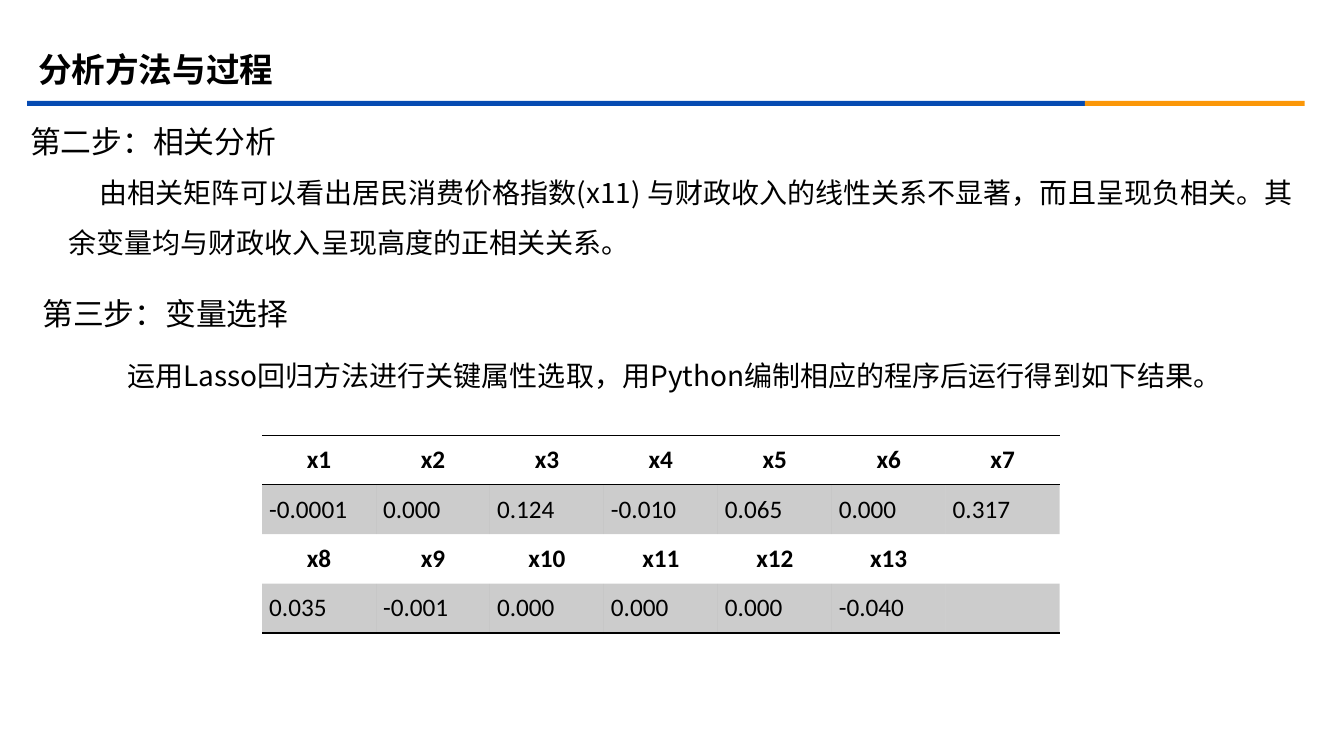
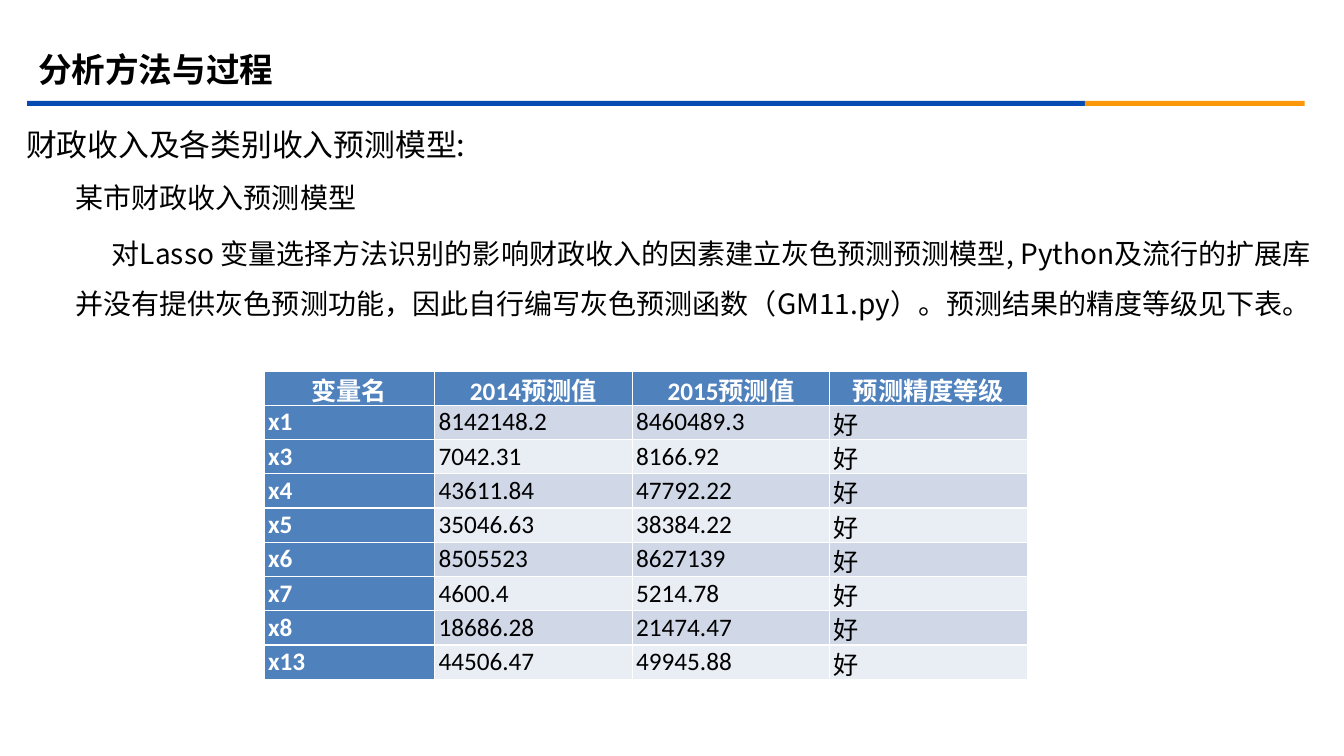
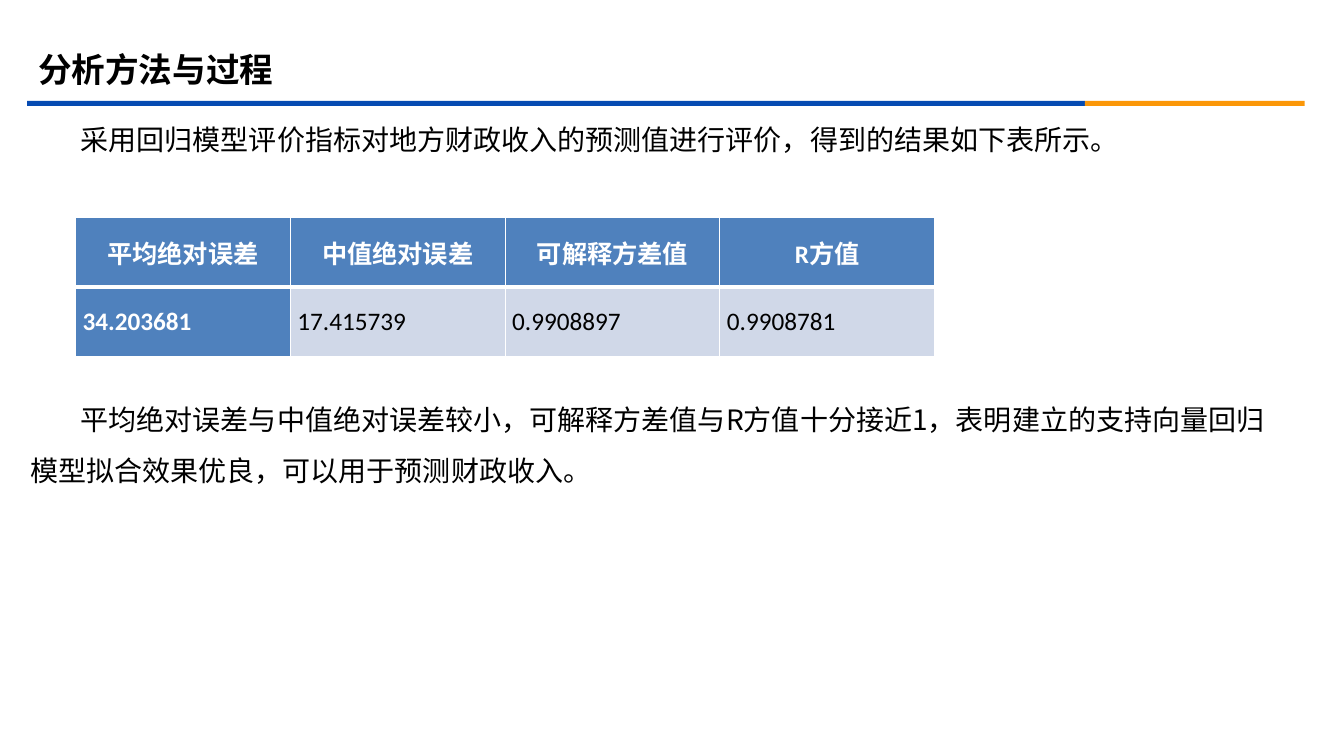
from lxml import etree
from pptx import Presentation
from pptx import util as u
from pptx.dml.color import RGBColor
from pptx.enum import shapes, text
from pptx.oxml.ns import qn

COLORS = {
    "black": "000000",
    "white": "FFFFFF",
    "blue": "064BB2",
    "orange": "FB9708",
    "header": "4F81BD",
    "band_dark": "D0D8E8",
    "band_light": "E9EDF4",
}
BODY_FONT = "Noto Sans CJK SC"
TITLE_FONT = "Arial"
TABLE_FONT = "Calibri"
PLAIN_TABLE = "{2D5ABB26-0587-4C30-8999-92F81FD0307C}"


def write(paragraph, content, *, size, font, color="black", bold=False, align=None,
          indent=0, leading=None, before=0):
    run = paragraph.add_run()
    run.text = content
    run.font.size = u.Pt(size)
    run.font.name = font
    run.font.bold = bold
    run.font.color.rgb = RGBColor.from_string(COLORS[color])
    if font == BODY_FONT:
        etree.SubElement(run.font._element, qn("a:ea"), typeface=font)
    if align is not None:
        paragraph.alignment = align
    if indent:
        paragraph._p.get_or_add_pPr().set("indent", str(u.Inches(indent)))
    if leading:
        paragraph.line_spacing = u.Pt(leading)
    if before:
        paragraph.space_before = u.Pt(before)


class Deck:
    title = "分析方法与过程"
    heading_size = 22
    body_size = 20
    table_size = 18
    leading = 1.8
    text_width = 12.29

    def __init__(self):
        self.presentation = Presentation()
        self.presentation.slide_width = u.Inches(13.33)
        self.presentation.slide_height = u.Inches(7.5)
        self.slide = None

    def new_slide(self):
        self.slide = self.presentation.slides.add_slide(self.presentation.slide_layouts[6])
        self.band(0.27, 10.49, "blue")
        self.band(10.76, 2.18, "orange")
        frame = self.text_frame(0.28, 0.39, 12, 0.58)
        frame.vertical_anchor = text.MSO_ANCHOR.MIDDLE
        write(frame.paragraphs[0], self.title, size=24, font=TITLE_FONT, bold=True)

    def band(self, left, width, color):
        shape = self.slide.shapes.add_shape(
            shapes.MSO_SHAPE.RECTANGLE,
            u.Inches(left), u.Inches(1), u.Inches(width), u.Inches(0.05))
        shape.shadow.inherit = False
        shape.fill.solid()
        shape.fill.fore_color.rgb = RGBColor.from_string(COLORS[color])
        shape.line.fill.background()

    def text_frame(self, left, top, width, height):
        box = self.slide.shapes.add_textbox(
            u.Inches(left), u.Inches(top), u.Inches(width), u.Inches(height))
        box.text_frame.word_wrap = True
        return box.text_frame

    def text_block(self, left, top, height, lines, size):
        frame = self.text_frame(left, top, self.text_width, height)
        frame.margin_left = frame.margin_right = frame.margin_bottom = 0
        frame.margin_top = u.Inches(0.02)
        for index, (content, indent) in enumerate(lines):
            paragraph = frame.add_paragraph() if index else frame.paragraphs[0]
            write(paragraph, content, size=size, font=BODY_FONT, indent=indent,
                  leading=size * self.leading, before=size * 0.2 if index else 0)

    def heading(self, left, top, content):
        self.text_block(left, top, 0.56, [(content, 0)], self.heading_size)

    def body(self, left, top, height, *lines):
        self.text_block(left, top, height, lines, self.body_size)

    def table(self, left, top, widths, row_height, rows, margin):
        table = self.slide.shapes.add_table(
            len(rows), len(widths), u.Inches(left), u.Inches(top),
            u.Inches(sum(widths)), u.Inches(row_height * len(rows))).table
        table.first_row = table.horz_banding = False
        table._tbl.tblPr.find(qn("a:tableStyleId")).text = PLAIN_TABLE
        for column, width in zip(table.columns, widths):
            column.width = u.Inches(width)
        for row in table.rows:
            row.height = u.Inches(row_height)
        for cell in table.iter_cells():
            cell.vertical_anchor = text.MSO_ANCHOR.MIDDLE
            cell.margin_left = cell.margin_right = u.Inches(margin)
            cell.margin_top = cell.margin_bottom = 0
        return table

    def cell(self, cell, content, *, header, color="black", bold=False):
        align = text.PP_ALIGN.CENTER if header else text.PP_ALIGN.JUSTIFY
        write(cell.text_frame.paragraphs[0], content, size=self.table_size,
              font=TABLE_FONT, color=color, bold=bold, align=align)

    def border(self, cell, color, **widths):
        properties = cell._tc.get_or_add_tcPr()
        for side in "LRTB":
            if side in widths:
                line = etree.SubElement(properties, qn("a:ln" + side),
                                        w=str(u.Pt(widths[side])))
                fill = etree.SubElement(line, qn("a:solidFill"))
                etree.SubElement(fill, qn("a:srgbClr"), val=COLORS[color])

    def fill(self, cell, color, alpha=None):
        cell.fill.solid()
        cell.fill.fore_color.rgb = RGBColor.from_string(COLORS[color])
        if alpha:
            value = cell._tc.tcPr.find(".//" + qn("a:solidFill") + "/" + qn("a:srgbClr")) \
                if cell._tc.tcPr.find(qn("a:lnB")) is None \
                else cell._tc.tcPr.find(qn("a:solidFill"))[0]
            etree.SubElement(value, qn("a:alpha"), val=str(alpha * 1000))

    def ruled_table(self, left, top, widths, row_height, rows):
        table = self.table(left, top, widths, row_height, rows, 0.07)
        last = len(rows) - 1
        for r, row in enumerate(rows):
            header = r % 2 == 0
            for c, content in enumerate(row):
                cell = table.cell(r, c)
                if content:
                    self.cell(cell, content, header=header, bold=header)
                if r == 0:
                    self.border(cell, "black", T=1, B=1)
                elif r == last:
                    self.border(cell, "black", B=1)
                if header:
                    cell.fill.background()
                else:
                    self.fill(cell, "black", alpha=20)

    def banded_table(self, left, top, widths, row_height, rows, margin, header_line):
        table = self.table(left, top, widths, row_height, rows, margin)
        for r, row in enumerate(rows):
            band = "band_dark" if r % 2 else "band_light"
            for c, content in enumerate(row):
                cell = table.cell(r, c)
                strong = r == 0 or c == 0
                self.cell(cell, content, header=r == 0, bold=strong,
                          color="white" if strong else "black")
                self.border(cell, "white", L=1, R=1,
                            T=header_line if r == 1 else 1,
                            B=header_line if r == 0 else 1)
                self.fill(cell, "header" if strong else band)


def variable_selection(deck):
    deck.new_slide()
    deck.heading(0.3, 1.01, "第二步：相关分析")
    deck.body(0.68, 1.55, 1.01, (
        "由相关矩阵可以看出居民消费价格指数(x11) 与财政收入的线性关系不显著，"
        "而且呈现负相关。其余变量均与财政收入呈现高度的正相关关系。", 0.31))
    deck.heading(0.42, 2.72, "第三步：变量选择")
    deck.body(0.83, 3.37, 0.51, (
        "运用Lasso回归方法进行关键属性选取，用Python编制相应的程序后运行得到如下结果。", 0.43))
    deck.ruled_table(2.6, 4.32, [1.13] * 7, 0.49, [
        ["x1", "x2", "x3", "x4", "x5", "x6", "x7"],
        ["-0.0001", "0.000", "0.124", "-0.010", "0.065", "0.000", "0.317"],
        ["x8", "x9", "x10", "x11", "x12", "x13", ""],
        ["0.035", "-0.001", "0.000", "0.000", "0.000", "-0.040", ""],
    ])


def revenue_forecast(deck):
    forecasts = [
        ("x1", "8142148.2", "8460489.3"),
        ("x3", "7042.31", "8166.92"),
        ("x4", "43611.84", "47792.22"),
        ("x5", "35046.63", "38384.22"),
        ("x6", "8505523", "8627139"),
        ("x7", "4600.4", "5214.78"),
        ("x8", "18686.28", "21474.47"),
        ("x13", "44506.47", "49945.88"),
    ]
    deck.new_slide()
    deck.heading(0.26, 1.04, "财政收入及各类别收入预测模型:")
    deck.body(0.75, 1.6, 2.09, ("某市财政收入预测模型", 0), (
        "对Lasso 变量选择方法识别的影响财政收入的因素建立灰色预测预测模型, "
        "Python及流行的扩展库并没有提供灰色预测功能，因此自行编写灰色预测函数"
        "（GM11.py）。预测结果的精度等级见下表。", 0.36))
    header = ("变量名", "2014预测值", "2015预测值", "预测精度等级")
    deck.banded_table(2.62, 3.68, [1.69] + [1.96] * 3, 0.34,
                      [header] + [row + ("好",) for row in forecasts],
                      margin=0.04, header_line=1)


def model_evaluation(deck):
    deck.new_slide()
    deck.body(0.3, 1.03, 0.51, (
        "采用回归模型评价指标对地方财政收入的预测值进行评价，得到的结果如下表所示。", 0.5))
    deck.banded_table(0.75, 2.16, [2.13] * 4, 0.69, [
        ("平均绝对误差", "中值绝对误差", "可解释方差值", "R方值"),
        ("34.203681", "17.415739", "0.9908897", "0.9908781"),
    ], margin=0.07, header_line=3)
    deck.body(0.3, 3.81, 1.01, (
        "平均绝对误差与中值绝对误差较小，可解释方差值与R方值十分接近1，"
        "表明建立的支持向量回归模型拟合效果优良，可以用于预测财政收入。", 0.5))


def main():
    deck = Deck()
    variable_selection(deck)
    revenue_forecast(deck)
    model_evaluation(deck)
    deck.presentation.save("out.pptx")


if __name__ == "__main__":
    main()
